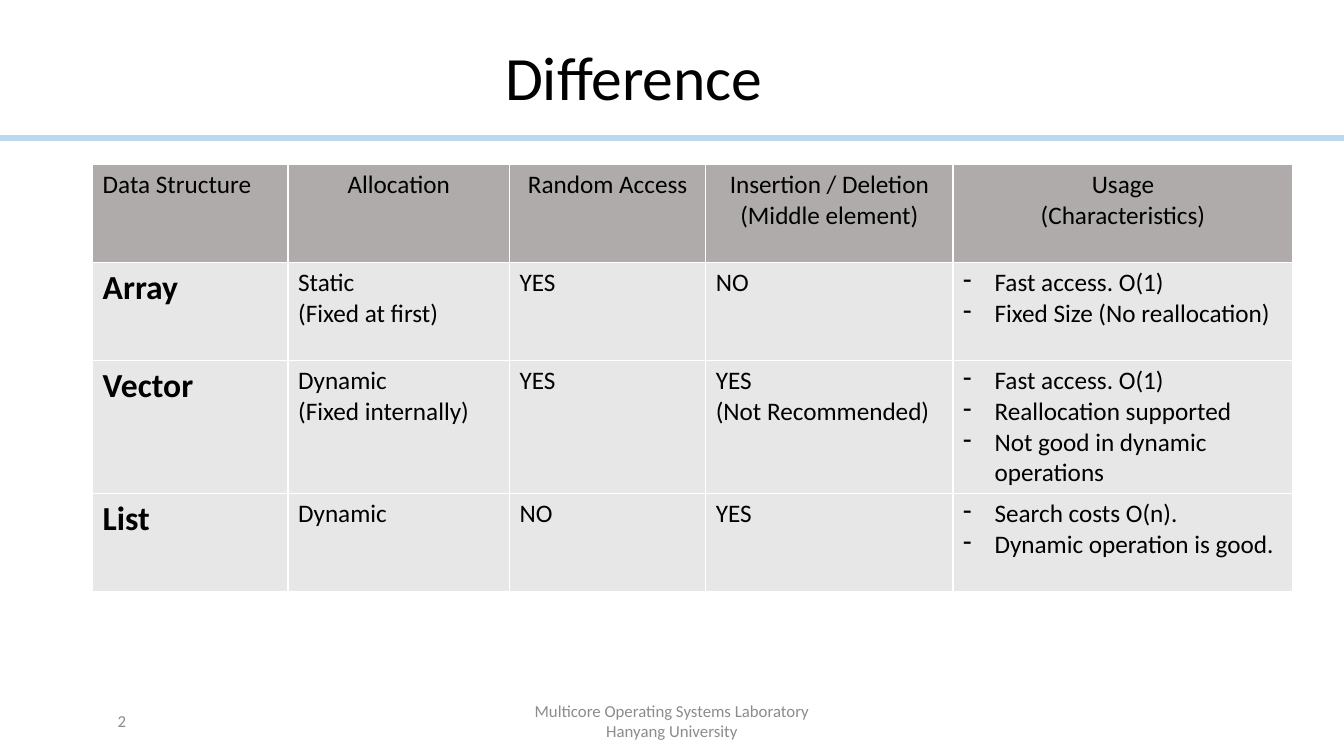
from lxml.etree import SubElement
from pptx import Presentation
from pptx.dml.color import RGBColor as RGB
from pptx.enum.shapes import MSO_SHAPE as Shape
from pptx.enum.text import MSO_ANCHOR as Anchor, PP_ALIGN as Align
from pptx.oxml.ns import qn
from pptx.util import Pt

TITLE = "Difference"
HEADER = ["Data Structure", "Allocation", "Random Access",
          "Insertion / Deletion\n(Middle element)", "Usage\n(Characteristics)"]
STRUCTURES = [
    ["Array", "Static\n(Fixed at first)", "YES", "NO",
     "Fast access. O(1)\nFixed Size (No reallocation)"],
    ["Vector", "Dynamic\n(Fixed internally)", "YES", "YES\n(Not Recommended)",
     "Fast access. O(1)\nReallocation supported\nNot good in dynamic operations"],
    ["List", "Dynamic", "NO", "YES",
     "Search costs O(n).\nDynamic operation is good."],
]
FOOTER = "Multicore Operating Systems Laboratory\nHanyang University"
PAGE = "2"

COLORS = {"text": "000000", "rule": "BDD7EE", "header": "AFABAB",
          "body": "E7E7E7", "footer": "8C8C8C"}
FONT = "Calibri"
SLIDE_W, SLIDE_H = 960, 540
LEFT = 66.2
COLUMN_WIDTHS = [139.6, 158.2, 140.2, 176.6, 242.8]
ROW_HEIGHT = 70
BULLET_INDENT = 22.5


def color(name):
    return RGB.from_string(COLORS[name])


def write(frame, text, size, align=Align.LEFT, ink="text", bold=False, bullet=False):
    frame.text = text
    for paragraph in frame.paragraphs:
        if bullet:
            props = paragraph._p.get_or_add_pPr()
            props.set("marL", str(Pt(BULLET_INDENT)))
            props.set("indent", str(-Pt(BULLET_INDENT)))
            SubElement(props, qn("a:buFontTx"))
            SubElement(props, qn("a:buChar"), char="-")
        paragraph.alignment = align
        for run in paragraph.runs:
            run.font.name = FONT
            run.font.size = Pt(size)
            run.font.bold = bold
            run.font.color.rgb = color(ink)


def add_footer(slide, text, left, width, align):
    box = slide.shapes.add_textbox(Pt(left), Pt(500.5), Pt(width), Pt(28.8))
    box.text_frame.word_wrap = True
    box.text_frame.vertical_anchor = Anchor.MIDDLE
    write(box.text_frame, text, 12, align, "footer")


def add_comparison(slide):
    rows = [HEADER] + STRUCTURES
    table = slide.shapes.add_table(
        len(rows), len(HEADER), Pt(LEFT), Pt(117.5),
        Pt(sum(COLUMN_WIDTHS)), Pt(ROW_HEIGHT * len(rows))).table
    table.first_row = False
    table.horz_banding = False
    for column, width in zip(table.columns, COLUMN_WIDTHS):
        column.width = Pt(width)
    for r, row in enumerate(rows):
        table.rows[r].height = Pt(ROW_HEIGHT)
        for c, text in enumerate(row):
            cell = table.cell(r, c)
            is_header = r == 0
            is_name = c == 0 and not is_header
            is_usage = c == len(HEADER) - 1 and not is_header
            cell.fill.solid()
            cell.fill.fore_color.rgb = color("header" if is_header else "body")
            write(cell.text_frame, text, 24 if is_name else 18,
                  Align.CENTER if is_header and c else Align.LEFT,
                  bold=is_name, bullet=is_usage)


def main():
    deck = Presentation()
    deck.slide_width, deck.slide_height = Pt(SLIDE_W), Pt(SLIDE_H)
    slide = deck.slides.add_slide(deck.slide_layouts[5])

    rule = slide.shapes.add_shape(Shape.RECTANGLE, 0, Pt(97.2), Pt(SLIDE_W), Pt(2.9))
    rule.shadow.inherit = False
    rule.fill.solid()
    rule.fill.fore_color.rgb = color("rule")
    rule.line.color.rgb = color("rule")
    rule.line.width = Pt(1)

    title = slide.shapes.title
    title.left, title.top = Pt(LEFT), Pt(28.8)
    title.width, title.height = Pt(773.3), Pt(57.6)
    title.text_frame.vertical_anchor = Anchor.MIDDLE
    write(title.text_frame, TITLE, 44, Align.CENTER)
    title.text_frame.paragraphs[0].line_spacing = 0.9

    add_comparison(slide)
    add_footer(slide, FOOTER, 318, 324, Align.CENTER)
    add_footer(slide, PAGE, 27.4, 69.8, Align.RIGHT)
    deck.save("out.pptx")


if __name__ == "__main__":
    main()
